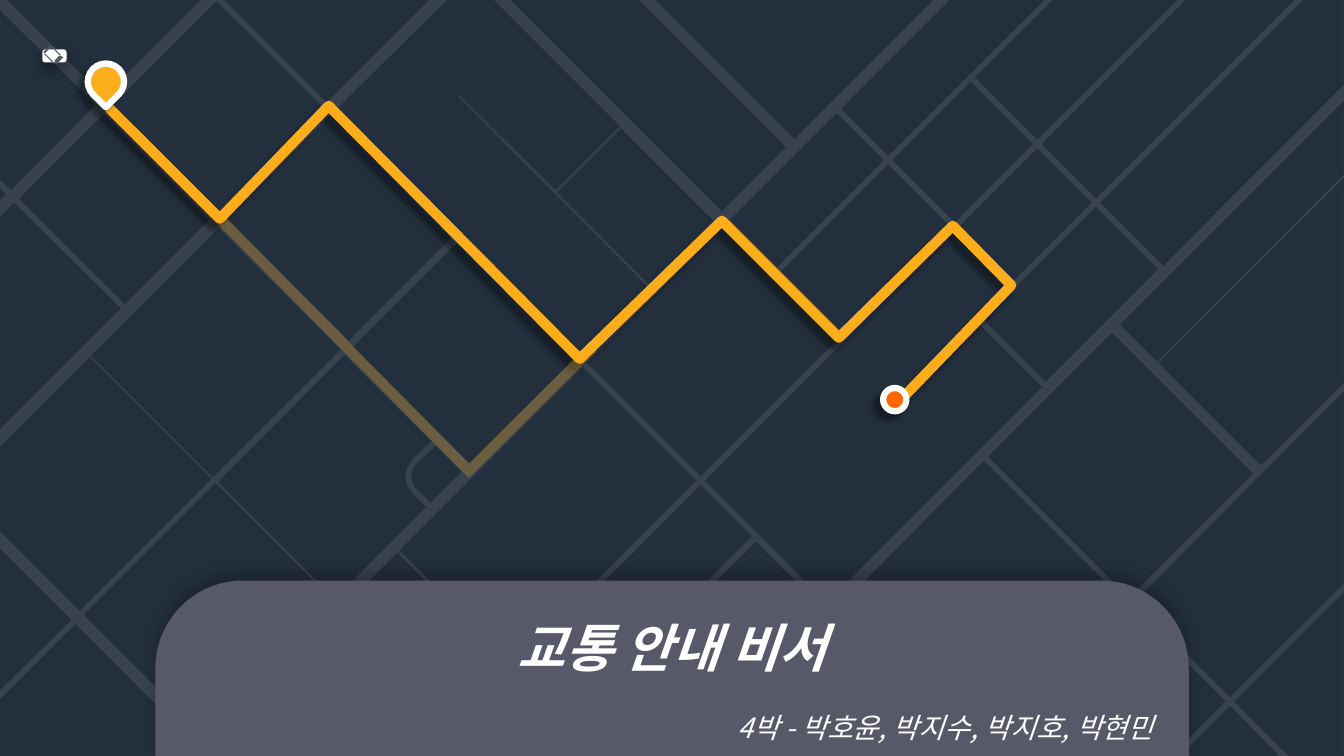
import dataclasses

import lxml.etree
import pptx
import pptx.dml.color
import pptx.enum.shapes
import pptx.enum.text
import pptx.oxml.ns
import pptx.util

Inches = pptx.util.Inches
Pt = pptx.util.Pt
qn = pptx.oxml.ns.qn
SHAPES = pptx.enum.shapes.MSO_SHAPE
ALIGN = pptx.enum.text.PP_ALIGN


@dataclasses.dataclass(frozen=True)
class Theme:
    ground: str = "232F3D"
    street: str = "38424E"
    route: str = "FBAD1B"
    goal: str = "FF6600"
    card: str = "585968"
    light: str = "FFFFFF"
    shade: str = "000000"
    font: str = "Noto Sans CJK KR"
    title_size: float = 37
    names_size: float = 20
    route_width: float = 7.25
    marker_width: float = 4.5


THEME = Theme()
MARKER_SHADOW = (40, 4, 7, 135)
CAR_SHADOW = (40, 11, 5, 90)
CARD_SHADOW = (22, 10, 7, 270)

# Each diamond block: top corner x, y, then its lower-right and lower-left sides.
DIAMOND_BLOCKS = [
    (3.94, 5.48, .47, .54), (6.95, 4.81, .51, 1.81), (2.14, 4.79, 1.17, 1.31),
    (5.78, 3.64, 1.13, 1.82), (11.03, 3.3, 1.4, 1.23), (4.54, 2.4, 1.16, 1.04),
    (2.17, 2.26, 1.21, 1.27), (10.87, 2.05, .62, 1.12), (8.81, 1.63, .62, 1.06),
    (10.29, 1.47, .54, .78), (6.16, 1.27, .92, .64), (3.28, 1.14, 1.21, 1.03),
    (1.03, 1.13, 1.05, .84), (8.3, 1.12, .47, 1.06), (9.63, .81, .62, .78),
    (2.15, .01, 1.05, 1.04),
]
INNER_BLOCKS = [
    [(9.76, 4.57), (8.28, 6.06), (9, 6.78), (9.74, 6.05), (9.75, 6.07), (9.02, 6.8), (9.68, 7.46), (11.16, 5.97)],
    [(3.42, 3.52), (2.16, 4.78), (3.32, 5.94), (4.23, 5.03), (4.08, 4.88), (4.04, 4.81), (4.02, 4.73), (4.04, 4.64),
     (4.08, 4.57), (4.28, 4.38), (4.32, 4.42), (4.12, 4.61), (4.09, 4.67), (4.08, 4.73), (4.09, 4.78), (4.12, 4.84),
     (4.27, 4.99), (4.58, 4.68)],
    [(9.47, 2.29), (6.99, 4.77), (8.2, 5.98), (10.34, 3.84), (9.71, 3.21), (8.92, 4), (8.88, 3.96), (10.01, 2.83)],
    [(7.16, 2.26), (5.82, 3.6), (6.95, 4.73), (8.29, 3.39), (7.67, 2.77), (7.66, 2.78), (7.62, 2.74), (7.63, 2.73)],
]
EDGE_BLOCKS = [
    [(.07, 0), (1.03, .96), (1.99, 0)],
    [(2.22, 0), (3.24, 1.02), (4.26, 0)],
    [(4.43, 0), (3.32, 1.1), (5.74, 3.52), (6.42, 2.84), (4.54, .95), (4.55, .94), (5.51, 1.89), (6.15, 1.25), (4.9, 0)],
    [(5.06, 0), (7.16, 2.1), (7.8, 1.46), (6.34, 0)],
    [(6.5, 0), (7.88, 1.38), (9.26, 0)],
    [(9.42, 0), (8.34, 1.08), (8.81, 1.55), (10.36, 0)],
    [(10.44, 0), (9.67, .77), (10.29, 1.39), (11.68, 0)],
    [(11.76, 0), (10.33, 1.43), (10.87, 1.97), (12.84, 0)],
    [(12.92, 0), (10.91, 2.01), (11.54, 2.64), (13.33, .84), (13.33, 0)],
    [(13.33, 1), (11.11, 3.22), (11.48, 3.59), (13.33, 1.73)],
    [(13.33, 1.76), (11.49, 3.6), (12.51, 4.62), (13.33, 3.8)],
    [(13.33, 3.88), (11.25, 5.97), (12.2, 6.92), (13.33, 5.79)],
    [(13.33, 5.87), (12.24, 6.96), (12.78, 7.5), (13.33, 7.5)],
    [(12.69, 7.5), (12.2, 7), (11.7, 7.5)],
    [(11.62, 7.5), (12.16, 6.96), (11.21, 6.01), (9.72, 7.5)],
    [(9.64, 7.5), (8.98, 6.84), (8.32, 7.5)],
    [(8.29, 7.5), (8.96, 6.83), (8.24, 6.1), (6.83, 7.5)],
    [(6.67, 7.5), (8.15, 6.02), (7.5, 5.37), (5.37, 7.5)],
    [(5.29, 7.5), (5.62, 7.17), (4.46, 6), (3.92, 6.54), (4.88, 7.5)],
    [(4.85, 7.5), (3.91, 6.55), (2.96, 7.5)],
    [(2.87, 7.5), (3.86, 6.51), (3.39, 6.03), (1.92, 7.5)],
    [(1.76, 7.5), (1.91, 7.35), (.75, 6.19), (0, 6.94), (0, 7.5)],
    [(0, 6.85), (.71, 6.15), (0, 5.44)],
    [(0, 5.27), (.79, 6.06), (2.1, 4.75), (.89, 3.54), (0, 4.43)],
    [(0, 4.26), (1.2, 3.06), (.14, 2.01), (0, 2.15)],
    [(0, 1.99), (.06, 1.93), (0, 1.86)],
    [(0, 1.78), (.11, 1.89), (.95, 1.04), (0, .1)],
]
MAIN_ROUTE = [(0, .02), (1.1, 1.12), (2.18, 0), (4.67, 2.51), (6.08, 1.14),
              (7.24, 2.3), (8.37, 1.19), (8.95, 1.78), (7.85, 2.92)]
OTHER_ROUTE = [(0, 0), (2.5, 2.53), (3.73, 1.31)]


def rgb(color):
    return pptx.dml.color.RGBColor.from_string(color)


def child(parent, tag, **attributes):
    return lxml.etree.SubElement(parent, qn(tag), {key: str(value) for key, value in attributes.items()})


def style(shape, fill=None, line=None, width=0, shadow=None):
    shape.shadow.inherit = False
    if fill:
        shape.fill.solid()
        shape.fill.fore_color.rgb = rgb(fill)
    else:
        shape.fill.background()
    if line:
        shape.line.color.rgb = rgb(line)
        shape.line.width = Pt(width)
    else:
        shape.line.fill.background()
    if shadow:
        alpha, blur, distance, direction = shadow
        outer = child(shape.element.spPr.find(qn("a:effectLst")), "a:outerShdw", blurRad=Pt(blur),
                      dist=Pt(distance), dir=direction * 60000, algn="ctr", rotWithShape=0)
        child(child(outer, "a:srgbClr", val=THEME.shade), "a:alpha", val=alpha * 1000)


def add_preset(shapes, kind, box, adjust=(), rotation=0, **look):
    shape = shapes.add_shape(kind, *map(Inches, box))
    for index, value in enumerate(adjust):
        shape.adjustments[index] = value
    shape.rotation = rotation
    style(shape, **look)
    return shape


def add_outline(slide, left, top, contours, close):
    placed = [[(Inches(left + x), Inches(top + y)) for x, y in contour] for contour in contours]
    builder = slide.shapes.build_freeform(*placed[0][0])
    for index, contour in enumerate(placed):
        if index:
            builder.move_to(*contour[0])
        builder.add_line_segments(contour[1:], close=close)
    return builder.convert_to_shape()


def write(holder, text, box, size, align, bold=False, italic=True, color=THEME.light):
    holder.left, holder.top, holder.width, holder.height = map(Inches, box)
    frame = holder.text_frame
    frame.word_wrap = True
    frame.auto_size = pptx.enum.text.MSO_AUTO_SIZE.NONE
    frame.vertical_anchor = pptx.enum.text.MSO_ANCHOR.MIDDLE
    frame.margin_left = frame.margin_right = frame.margin_top = frame.margin_bottom = 0
    paragraph = frame.paragraphs[0]
    paragraph.alignment = align
    paragraph.line_spacing = 1.0
    paragraph.space_before = Pt(0)
    run = paragraph.add_run()
    run.text = text
    font = run.font
    font.name, font.size, font.bold, font.italic = THEME.font, Pt(size), bold, italic
    font.color.rgb = rgb(color)
    child(run.font._element, "a:ea", typeface=THEME.font)
    holder.element.getparent().append(holder.element)


def draw_streets(slide, left, top, width, height):
    page = [(0, 0), (width, 0), (width, height), (0, height)]
    diamonds = [[(x, y), (x - l, y + l), (x + r - l, y + r + l), (x + r, y + r)] for x, y, r, l in DIAMOND_BLOCKS]
    streets = add_outline(slide, left, top, [page] + diamonds + INNER_BLOCKS + EDGE_BLOCKS, True)
    style(streets, fill=THEME.street)


def draw_route(slide, left, top, stops, faded=False):
    route = add_outline(slide, left, top, [stops], False)
    style(route, line=THEME.route, width=THEME.route_width, shadow=None if faded else MARKER_SHADOW)
    line = route.line._get_or_add_ln()
    if faded:
        child(line.find(".//" + qn("a:srgbClr")), "a:alpha", val=25000)
        child(line, "a:miter", lim=800000)
    else:
        child(line, "a:round")


def draw_markers(slide, start, goal):
    ring = dict(line=THEME.light, width=THEME.marker_width, shadow=MARKER_SHADOW)
    add_preset(slide.shapes, SHAPES.TEAR, (*start, .36, .36), (1,), 135, fill=THEME.route, **ring)
    add_preset(slide.shapes, SHAPES.OVAL, (*goal, .23, .23), fill=THEME.goal, **ring)


def draw_car(slide, left, top):
    car = slide.shapes.add_group_shape().shapes
    add_preset(car, SHAPES.ROUNDED_RECTANGLE, (left, top, .24, .13), (.227,),
               fill=THEME.light, shadow=CAR_SHADOW)
    for x, y, width, height, slant, rotation in [
            (.11, .08, .1, .04, .321, 315), (0, -.01, .1, .02, .321, 135.3),
            (0, .08, .13, .01, 1.623, 45), (.07, .01, .13, .01, 1.623, 225)]:
        add_preset(car, SHAPES.TRAPEZOID, (left + x, top + y, width, height), (slant,), rotation, fill=THEME.card)


def draw_card(slide, left, top, width, height):
    add_preset(slide.shapes, SHAPES.ROUND_2_SAME_RECTANGLE, (left, top, width, height), (.5, 0),
               fill=THEME.card, shadow=CARD_SHADOW)
    inset = .35
    title, names = slide.placeholders
    write(title, "교통 안내 비서", (left + inset, top + .26, width - 2 * inset, .8),
          THEME.title_size, ALIGN.CENTER, bold=True)
    write(names, "4박 - 박호윤, 박지수, 박지호, 박현민", (left + inset, top + 1.24, width - 2 * inset, .44),
          THEME.names_size, ALIGN.RIGHT)


def build_cover(deck):
    slide = deck.slides.add_slide(deck.slide_layouts[0])
    slide.background.fill.solid()
    slide.background.fill.fore_color.rgb = rgb(THEME.ground)
    draw_streets(slide, 0, 0, 13.33, 7.5)
    draw_route(slide, 1.08, 1.05, MAIN_ROUTE)
    draw_markers(slide, (.87, .63), (8.76, 3.85))
    draw_car(slide, .42, .49)
    draw_card(slide, 1.54, 5.76, 10.25, 1.74)
    draw_route(slide, 2.15, 2.14, OTHER_ROUTE, faded=True)


def main():
    deck = pptx.Presentation()
    deck.slide_width, deck.slide_height = Inches(13.33), Inches(7.5)
    build_cover(deck)
    deck.save("out.pptx")


if __name__ == "__main__":
    main()
